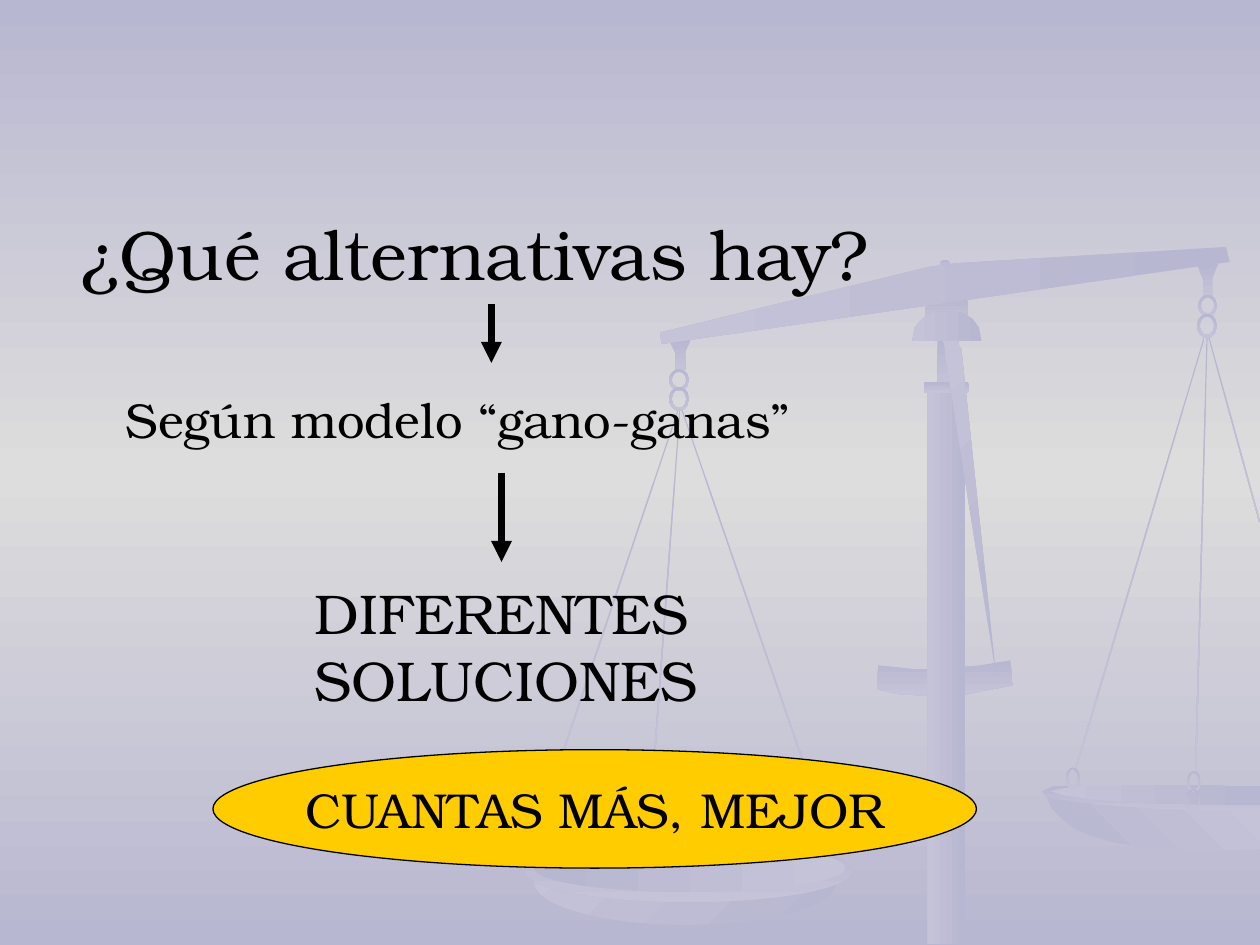
from copy import deepcopy
from lxml.etree import SubElement
from pptx import Presentation
from pptx.dml.color import RGBColor
from pptx.enum.shapes import MSO_CONNECTOR, MSO_SHAPE
from pptx.enum.text import MSO_ANCHOR, MSO_AUTO_SIZE, PP_ALIGN
from pptx.oxml.ns import qn
from pptx.util import Inches, Pt

FONT = "TeX Gyre Bonum"
BLACK = "000000"
DARK, LIGHT, MIDDLE = "B8B7D1", "C4C3D8", "DDDDDD"

CHAINS = [
    (9.04, 2.6, 3.6, 16.6), (9.53, 2.66, 3.47, 1.5), (9.79, 2.64, 1.53, -15.4),
    (5.98, 3.15, 3.53, -19), (4.79, 3.16, 3.68, 18.6), (5.27, 3.25, 3.31, 4.2),
]
RINGS = [
    (5.31, 2.93, 0.16, 0.17), (5.31, 3.07, 0.16, 0.19),
    (9.51, 2.34, 0.15, 0.17), (9.5, 2.49, 0.16, 0.19),
    (8.46, 6.09, 0.11, 0.17), (9.42, 6.12, 0.11, 0.17), (9.41, 6.26, 0.12, 0.19),
]
LEFT_PAN = [
    ((4.24, 6.66, 2.4, 0.68), 225, DARK, LIGHT),
    ((4.16, 6.66, 2.61, 0.5), 90, DARK, LIGHT),
    ((4.24, 6.7, 2.47, 0.38), 180, LIGHT, DARK),
]
CROSSBAR = [
    (6.97, 5.28), (7.24, 5.31), (7.39, 5.31), (7.57, 5.3), (7.78, 5.28), (8.02, 5.24),
    (8.04, 5.44), (7.82, 5.48), (7.68, 5.51), (7.51, 5.52), (7.33, 5.52), (7.14, 5.51),
    (6.96, 5.47),
]
RIGHT_PAN_RIM = [
    (9.58, 6.24), (9.1, 6.24), (8.75, 6.23), (8.46, 6.24), (8.36, 6.24), (8.31, 6.26),
    (8.27, 6.28), (8.3, 6.32), (8.37, 6.34), (8.52, 6.38), (8.78, 6.41), (9.14, 6.44),
    (9.58, 6.45), (10, 6.45), (10, 6.26), (9.8, 6.26),
]
RIGHT_PAN_BOWL = [
    (8.31, 6.33), (8.35, 6.42), (8.42, 6.49), (8.52, 6.57), (8.65, 6.63), (8.82, 6.68),
    (9.03, 6.72), (9.28, 6.74), (9.57, 6.75), (10, 6.74), (10, 6.43), (9.53, 6.43),
    (9.18, 6.42), (8.86, 6.4), (8.57, 6.37),
]
RIGHT_PAN_INSIDE = [
    (9.56, 6.23), (8.62, 6.23), (8.43, 6.26), (8.34, 6.28), (8.43, 6.31), (8.63, 6.34),
    (8.93, 6.37), (9.33, 6.38), (9.78, 6.39), (10, 6.39), (10, 6.24), (9.79, 6.24),
]
LEFT_HOOK = [(5.49, 2.68), (5.31, 2.7), (5.36, 2.8), (5.36, 2.94), (5.44, 2.94), (5.44, 2.79)]
RIGHT_HOOK = [(9.67, 2.09), (9.5, 2.1), (9.55, 2.22), (9.55, 2.36), (9.62, 2.36), (9.62, 2.21)]
BEAM = [(9.73, 1.96), (9.76, 2.08), (5.25, 2.73), (5.24, 2.64), (7.37, 2.12), (7.59, 2.09)]
POINTER = [
    (7.91, 5.39), (7.5, 2.8), (7.5, 2.76), (7.48, 2.68), (7.6, 2.65), (7.61, 2.74), (7.63, 2.77),
]
CAP = [
    (7.52, 2.47), (7.63, 2.48), (7.72, 2.53), (7.77, 2.6), (7.79, 2.71), (7.24, 2.71),
    (7.26, 2.6), (7.32, 2.53), (7.4, 2.48),
]


def color(value):
    return RGBColor.from_string(value)


def shade(shape, angle=90, start=DARK, end=LIGHT):
    shape.shadow.inherit = False
    shape.line.fill.background()
    shape.fill.gradient()
    shape.fill.gradient_angle = (360 - angle) % 360
    for stop, value in zip(shape.fill.gradient_stops, (start, end)):
        stop.color.rgb = color(value)


def add_part(shapes, kind, box, *shading):
    shape = shapes.add_shape(kind, *map(Inches, box))
    shade(shape, *shading)
    return shape


def add_outline(shapes, points, *shading):
    first, *others = [(Inches(x), Inches(y)) for x, y in points]
    builder = shapes.build_freeform(*first)
    builder.add_line_segments(others, close=True)
    shade(builder.convert_to_shape(), *shading)


def add_balance(shapes):
    add_part(shapes, MSO_SHAPE.RECTANGLE, (7.34, 2.37, 0.34, 0.18))
    add_part(shapes, MSO_SHAPE.OVAL, (7.46, 2.06, 0.08, 0.08))
    for left, top, length, rotation in CHAINS:
        chain = add_part(shapes, MSO_SHAPE.RECTANGLE, (left, top, 0.01, length))
        chain.rotation = rotation
    add_outline(shapes, CROSSBAR)
    add_outline(shapes, RIGHT_PAN_RIM)
    add_outline(shapes, RIGHT_PAN_BOWL, 135, LIGHT, DARK)
    add_outline(shapes, RIGHT_PAN_INSIDE, 180)
    add_outline(shapes, LEFT_HOOK)
    add_outline(shapes, RIGHT_HOOK)
    add_outline(shapes, BEAM, 180)
    for box, *shading in LEFT_PAN:
        add_part(shapes, MSO_SHAPE.OVAL, box, *shading)
    for box in RINGS:
        ring = add_part(shapes, MSO_SHAPE.DONUT, box)
        ring.adjustments[0] = 0.14
    add_part(shapes, MSO_SHAPE.RECTANGLE, (7.36, 3.08, 0.3, 4.41), 180)
    add_part(shapes, MSO_SHAPE.RECTANGLE, (7.44, 2.68, 0.13, 0.42))
    add_part(shapes, MSO_SHAPE.ROUNDED_RECTANGLE, (7.33, 3.03, 0.36, 0.09))
    add_outline(shapes, POINTER, 225)
    add_outline(shapes, CAP, 180)


def paint_background(slide):
    fill = slide.background.fill
    fill.gradient()
    fill.gradient_angle = 270
    stops = slide.element.find(".//" + qn("a:gsLst"))
    stops.insert(1, deepcopy(stops[0]))
    for stop, position, value in zip(fill.gradient_stops, (0, 0.5, 1), (DARK, MIDDLE, DARK)):
        stop.position = position
        stop.color.rgb = color(value)


def write(shape, text, size, alignment=PP_ALIGN.LEFT, anchor=MSO_ANCHOR.TOP, wrap=True):
    frame = shape.text_frame
    frame.word_wrap = wrap
    frame.auto_size = MSO_AUTO_SIZE.NONE
    frame.vertical_anchor = anchor
    paragraph = frame.paragraphs[0]
    paragraph.alignment = alignment
    run = paragraph.add_run()
    run.text = text
    run.font.name = FONT
    run.font.size = Pt(size)
    run.font.color.rgb = color(BLACK)


def add_title(slide, box, text, size):
    title = slide.shapes.title
    title.left, title.top, title.width, title.height = map(Inches, box)
    write(title, text, size)
    slide.shapes._spTree.append(title._element)


def add_text(slide, box, text, size):
    write(slide.shapes.add_textbox(*map(Inches, box)), text, size)


def add_down_arrow(slide, x, top, bottom):
    ends = map(Inches, (x, top, x, bottom))
    arrow = slide.shapes.add_connector(MSO_CONNECTOR.STRAIGHT, *ends)
    arrow.line.color.rgb = color(BLACK)
    arrow.line.width = Pt(4)
    SubElement(arrow.line._get_or_add_ln(), qn("a:tailEnd"), type="triangle")
    SubElement(arrow._element.spPr, qn("a:effectLst"))


def add_oval(slide, box, text, size):
    oval = slide.shapes.add_shape(MSO_SHAPE.OVAL, *map(Inches, box))
    oval.shadow.inherit = False
    oval.fill.solid()
    oval.fill.fore_color.rgb = color("FFCC00")
    oval.line.color.rgb = color(BLACK)
    oval.line.width = Pt(0.75)
    write(oval, text, size, PP_ALIGN.CENTER, MSO_ANCHOR.MIDDLE, False)


def main():
    presentation = Presentation()
    presentation.slide_width, presentation.slide_height = Inches(10), Inches(7.5)
    slide = presentation.slides.add_slide(presentation.slide_layouts[5])
    paint_background(slide)
    add_balance(slide.shapes.add_group_shape().shapes)
    add_title(slide, (0.55, 1.62, 9.45, 0.77), "¿Qué alternativas hay?", 40)
    add_down_arrow(slide, 3.9, 2.41, 2.88)
    add_text(slide, (0.9, 3.04, 7.4, 0.57), "Según modelo “gano-ganas”", 28)
    add_down_arrow(slide, 3.98, 3.75, 4.46)
    add_text(slide, (2.4, 4.54, 6.14, 0.64), "DIFERENTES SOLUCIONES", 32)
    add_oval(slide, (1.69, 5.95, 6.06, 0.94), "CUANTAS MÁS, MEJOR", 28)
    presentation.save("out.pptx")


if __name__ == "__main__":
    main()
